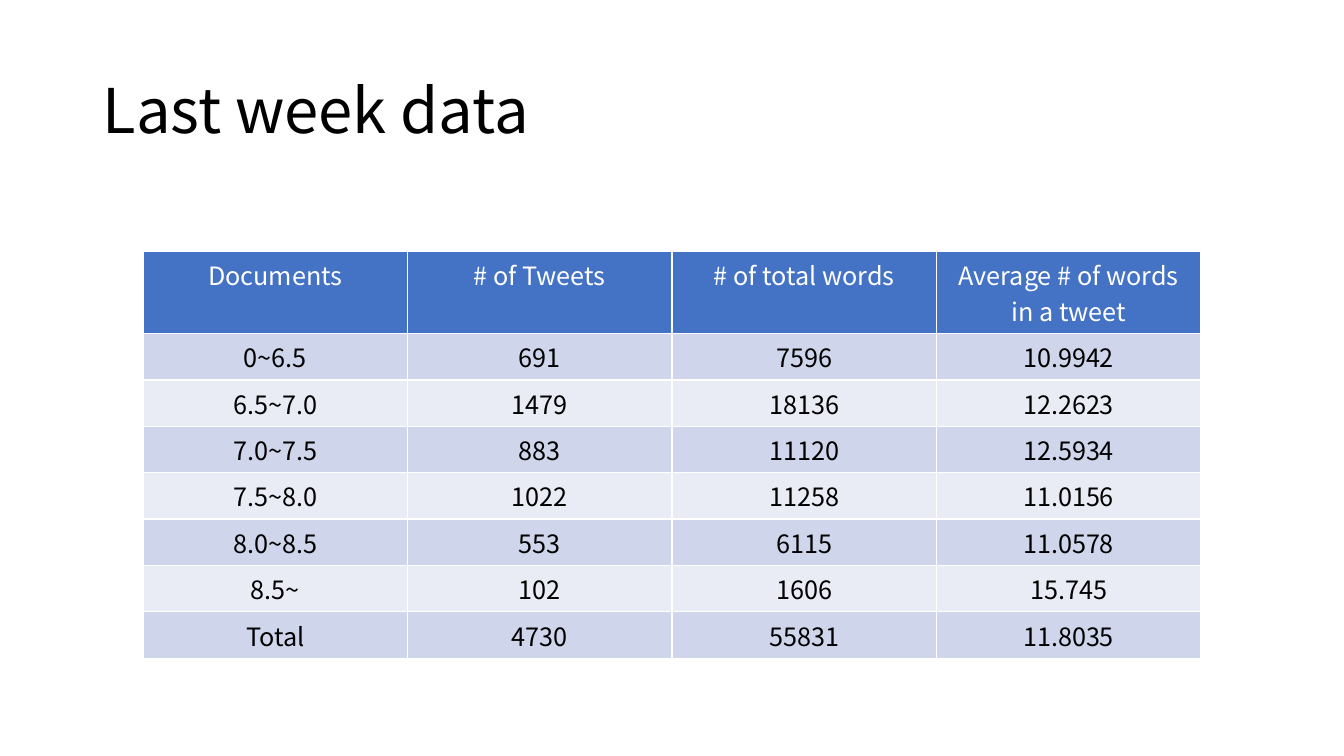
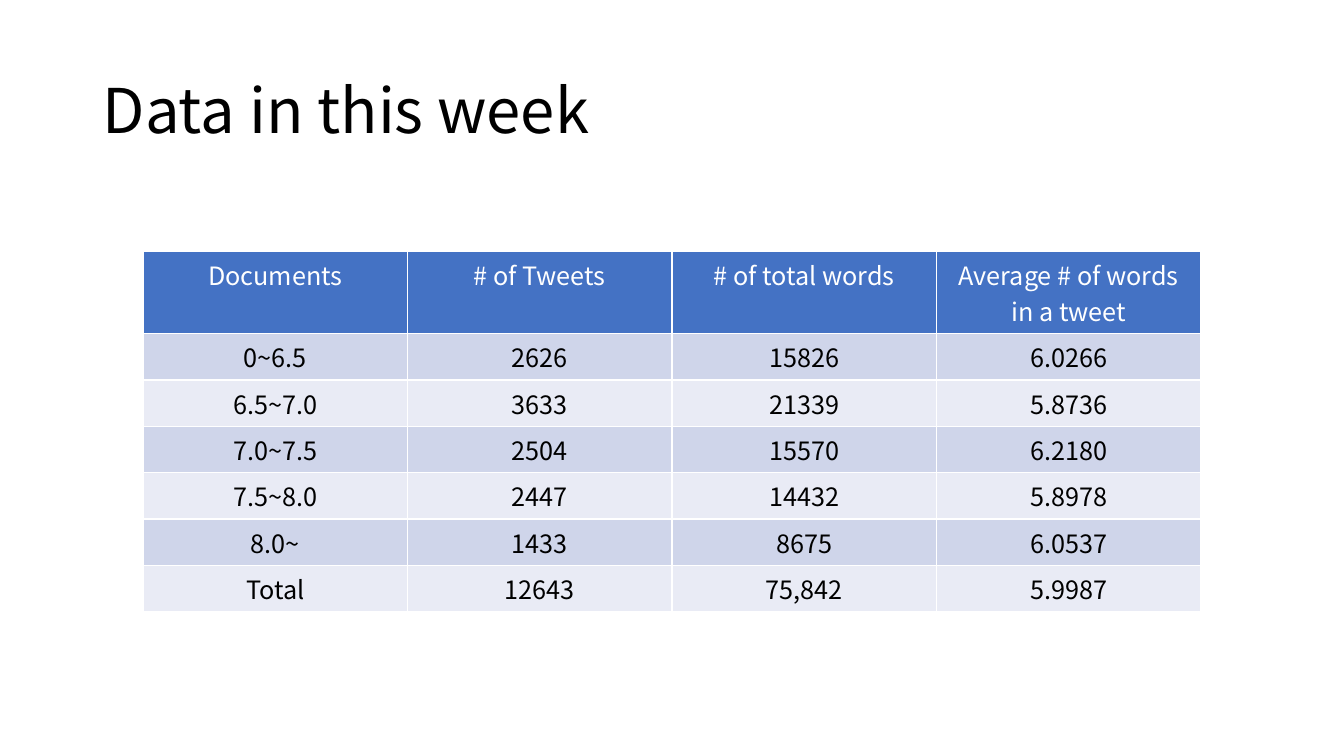
import pptx
import pptx.util
import pptx.dml.color
import pptx.enum.text
import pptx.oxml
import pptx.oxml.ns

Inches, Pt = pptx.util.Inches, pptx.util.Pt
RGBColor = pptx.dml.color.RGBColor
PP_ALIGN = pptx.enum.text.PP_ALIGN

WHITE = RGBColor(0xFF, 0xFF, 0xFF)
BLACK = RGBColor(0x00, 0x00, 0x00)
HEADER_BLUE = RGBColor(0x44, 0x72, 0xC4)
BANDS = (RGBColor(0xE9, 0xEB, 0xF5), RGBColor(0xCF, 0xD5, 0xEA))

FONT = "Noto Sans CJK KR"
TITLE_FONT = {"name": FONT, "size": Pt(44), "bold": False}
CELL_FONT = {"name": FONT, "size": Pt(18), "bold": False}

SLIDE_W, SLIDE_H = Inches(13.33), Inches(7.5)
TITLE_BOX = (Inches(0.92), Inches(0.4), Inches(11.5), Inches(1.45))
TABLE_BOX = (Inches(1.42), Inches(2.49), Inches(10.49))
HEADER_H, ROW_H = Inches(0.82), Inches(0.46)

HEADERS = ("Documents", "# of Tweets", "# of total words",
           "Average # of words in a tweet")
WEEKS = (
    ("Last week data", (
        ("0~6.5", "691", "7596", "10.9942"),
        ("6.5~7.0", "1479", "18136", "12.2623"),
        ("7.0~7.5", "883", "11120", "12.5934"),
        ("7.5~8.0", "1022", "11258", "11.0156"),
        ("8.0~8.5", "553", "6115", "11.0578"),
        ("8.5~", "102", "1606", "15.745"),
        ("Total", "4730", "55831", "11.8035"),
    )),
    ("Data in this week", (
        ("0~6.5", "2626", "15826", "6.0266"),
        ("6.5~7.0", "3633", "21339", "5.8736"),
        ("7.0~7.5", "2504", "15570", "6.2180"),
        ("7.5~8.0", "2447", "14432", "5.8978"),
        ("8.0~", "1433", "8675", "6.0537"),
        ("Total", "12643", "75,842", "5.9987"),
    )),
)


def write(tf, text, color, font, **paragraph):
    p = tf.paragraphs[0]
    for key, value in paragraph.items():
        setattr(p, key, value)
    r = p.add_run()
    r.text = text
    for key, value in font.items():
        setattr(r.font, key, value)
    r.font.color.rgb = color


def add_title(s, text, box):
    tf = s.shapes.add_textbox(*box).text_frame
    tf.word_wrap = True
    tf.vertical_anchor = pptx.enum.text.MSO_ANCHOR.MIDDLE
    write(tf, text, BLACK, TITLE_FONT, line_spacing=0.9)


def add_borders(cell):
    tcPr = cell._tc.get_or_add_tcPr()
    for side in "LRTB":
        tcPr.append(pptx.oxml.parse_xml(
            f'<a:ln{side} {pptx.oxml.ns.nsdecls("a")} w="{Pt(1)}">'
            f'<a:solidFill><a:srgbClr val="{WHITE}"/></a:solidFill>'
            f'</a:ln{side}>'))


def add_data_table(s, rows, box):
    left, top, width = box
    grid = (HEADERS, *rows)
    table = s.shapes.add_table(len(grid), len(HEADERS), left, top, width,
                               HEADER_H + ROW_H * len(rows)).table
    for i, values in enumerate(grid):
        header = i == 0
        table.rows[i].height = HEADER_H if header else ROW_H
        for j, value in enumerate(values):
            cell = table.cell(i, j)
            add_borders(cell)
            cell.fill.solid()
            cell.fill.fore_color.rgb = HEADER_BLUE if header else BANDS[i % 2]
            write(cell.text_frame, value, WHITE if header else BLACK,
                  CELL_FONT, alignment=PP_ALIGN.CENTER)


def add_week_slide(prs, title, rows):
    s = prs.slides.add_slide(prs.slide_layouts[6])
    add_title(s, title, TITLE_BOX)
    add_data_table(s, rows, TABLE_BOX)


def main():
    prs = pptx.Presentation()
    prs.slide_width, prs.slide_height = SLIDE_W, SLIDE_H
    for title, rows in WEEKS:
        add_week_slide(prs, title, rows)
    prs.save("out.pptx")


if __name__ == "__main__":
    main()
